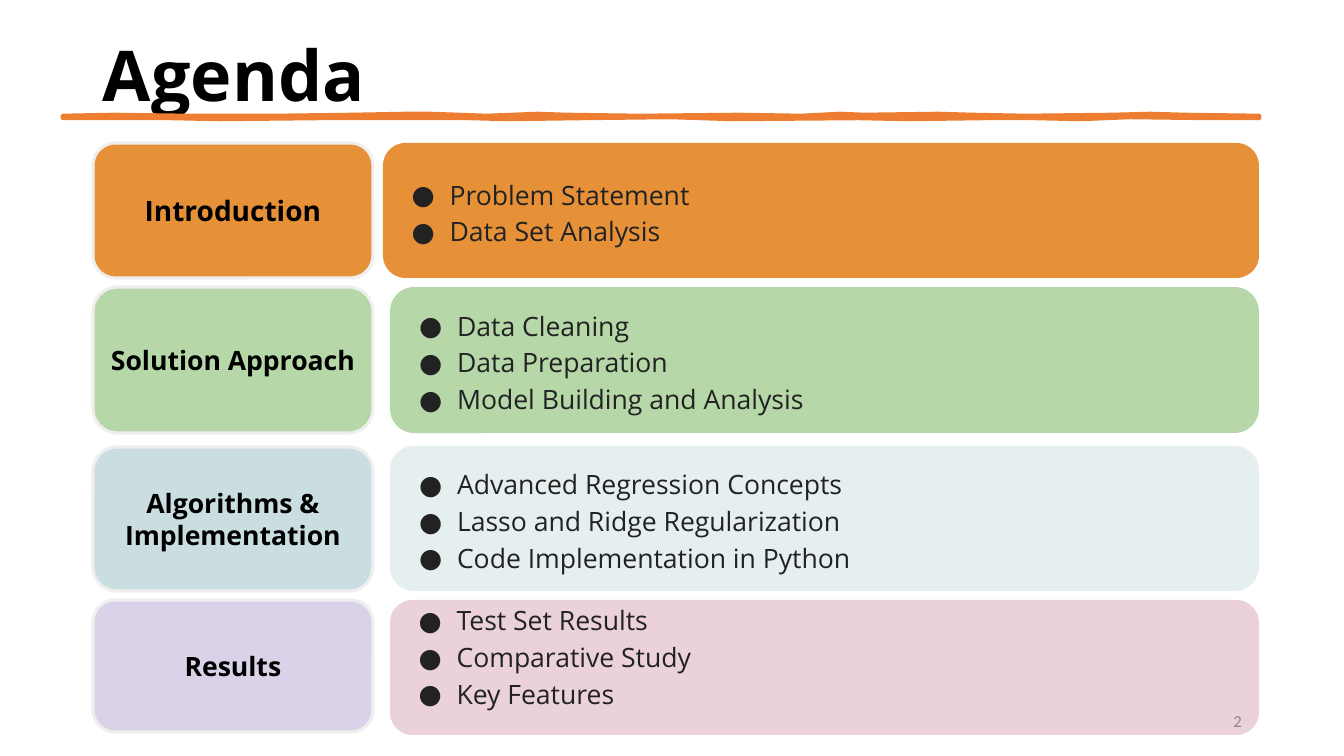
import pptx
import pptx.util
import pptx.dml.color
import pptx.enum.shapes
import pptx.enum.text
import pptx.oxml
import pptx.oxml.ns
import lxml.etree

PX = 914400 / 100.8
FONT = "Open Sans"
ALIGN = pptx.enum.text.PP_ALIGN
ANCHOR = pptx.enum.text.MSO_ANCHOR
COLORS = {
    "black": "000000", "text": "222222", "gray": "888888", "border": "EFEFEF",
    "accent": "ED7D31", "orange": "E69138", "green": "B6D7A8",
    "teal": "CADDE1", "pale teal": "E6EFF0", "lilac": "D9D2E9", "pink": "EAD1DC",
}

# Content: label, label size, label fill, label (top, height),
# topics, panel fill, panel (left, top, height), panel bottom inset
TITLE = "Agenda"
PAGE = "2"
SECTIONS = [
    ("Introduction", 20, "orange", (143, 135),
     ["Problem Statement", "Data Set Analysis"], "orange", (383, 143, 135), 10),
    ("Solution Approach", 19, "green", (287, 146),
     ["Data Cleaning", "Data Preparation", "Model Building and Analysis"],
     "green", (390, 287, 146), 10),
    ("Algorithms & Implementation", 19, "teal", (447, 144),
     ["Advanced Regression Concepts", "Lasso and Ridge Regularization",
      "Code Implementation in Python"], "pale teal", (390, 446, 145), 10),
    ("Results", 19, "lilac", (600, 132),
     ["Test Set Results", "Comparative Study", "Key Features"],
     "pink", (390, 600, 135), 36),
]
LABEL_LEFT, LABEL_WIDTH, RIGHT = 93, 280, 1259

# Brush stroke under the title: upper edge, then lower edge
STROKE_TOP = [(63, 116), (114, 115), (188, 116), (275, 116), (353, 115), (405, 114),
              (430, 114), (487, 116), (538, 114), (566, 115), (640, 116), (739, 115),
              (801, 116), (840, 114), (864, 115), (939, 114), (972, 115), (1026, 116),
              (1113, 115), (1150, 114), (1185, 115), (1259, 116)]
STROKE_BOTTOM = [(1259, 118), (1209, 118), (1130, 117), (1080, 119), (1035, 118),
                 (984, 118), (909, 119), (858, 118), (733, 119), (670, 117),
                 (583, 118), (508, 119), (470, 118), (406, 118), (320, 118),
                 (220, 119), (170, 118), (63, 118)]


def px(n):
    return pptx.util.Emu(round(n * PX))


def rgb(name):
    return pptx.dml.color.RGBColor.from_string(COLORS[name])


def set_frame(tf, sides=10, top=10, bottom=10):
    values = {"word_wrap": True, "vertical_anchor": ANCHOR.MIDDLE,
              "margin_left": px(sides), "margin_right": px(sides),
              "margin_top": px(top), "margin_bottom": px(bottom)}
    for name, value in values.items():
        setattr(tf, name, value)


def write(p, text, size, color, align, font=FONT, bold=False, spacing=1.0):
    p.alignment = align
    p.line_spacing = spacing
    r = p.add_run()
    r.text = text
    values = {"name": font, "size": pptx.util.Pt(size), "bold": bold}
    for name, value in values.items():
        setattr(r.font, name, value)
    r.font.color.rgb = rgb(color)


def add_bullet(p):
    pPr = p._p.get_or_add_pPr()
    pPr.set("marL", str(px(50)))
    pPr.set("indent", str(px(-38)))
    qn = pptx.oxml.ns.qn
    clr = lxml.etree.SubElement(pPr, qn("a:buClr"))
    lxml.etree.SubElement(clr, qn("a:srgbClr")).set("val", COLORS["text"])
    lxml.etree.SubElement(pPr, qn("a:buFont")).set("typeface", FONT)
    lxml.etree.SubElement(pPr, qn("a:buChar")).set("char", "●")


def paint(sp, fill, line=None, width=0):
    sp.shadow.inherit = False
    sp.fill.solid()
    sp.fill.fore_color.rgb = rgb(fill)
    if line:
        sp.line.color.rgb = rgb(line)
        sp.line.width = pptx.util.Pt(width)
    else:
        sp.line.fill.background()


def add_card(slide, box, fill, line=None, bottom=10):
    sp = slide.shapes.add_shape(pptx.enum.shapes.MSO_SHAPE.ROUNDED_RECTANGLE,
                                *[px(n) for n in box])
    paint(sp, fill, line, 2.25)
    set_frame(sp.text_frame, bottom=bottom)
    return sp.text_frame


def main():
    prs = pptx.Presentation()
    prs.slide_width, prs.slide_height = px(1344), px(756)
    slide = prs.slides.add_slide(prs.slide_layouts[5])

    # Title
    title = slide.shapes.title
    title.left, title.top, title.width, title.height = [px(n) for n in (93, 20, 1159, 118)]
    set_frame(title.text_frame, top=5, bottom=5)
    write(title.text_frame.paragraphs[0], TITLE, 50, "black", ALIGN.LEFT,
          bold=True, spacing=0.9)

    # Brush stroke
    start, *rest = STROKE_TOP + STROKE_BOTTOM
    builder = slide.shapes.build_freeform(*start, scale=PX)
    builder.add_line_segments(rest, close=True)
    paint(builder.convert_to_shape(), "accent", "accent", 3.25)

    # Section rows
    for label, size, fill, (y, h), topics, panel, (left, top, height), bottom in SECTIONS:
        tf = add_card(slide, (left, top, RIGHT - left, height), panel, bottom=bottom)
        for i, topic in enumerate(topics):
            p = tf.add_paragraph() if i else tf.paragraphs[0]
            write(p, topic, 19, "text", ALIGN.LEFT, spacing=1.15)
            add_bullet(p)
        tf = add_card(slide, (LABEL_LEFT, y, LABEL_WIDTH, h), fill, "border")
        write(tf.paragraphs[0], label, size, "black", ALIGN.CENTER, bold=True)

    # Page number
    tf = slide.shapes.add_textbox(*[px(n) for n in (950, 701, 302, 40)]).text_frame
    set_frame(tf, top=5, bottom=5)
    write(tf.paragraphs[0], PAGE, 12, "gray", ALIGN.RIGHT, font="Calibri")

    prs.save("out.pptx")


if __name__ == "__main__":
    main()
